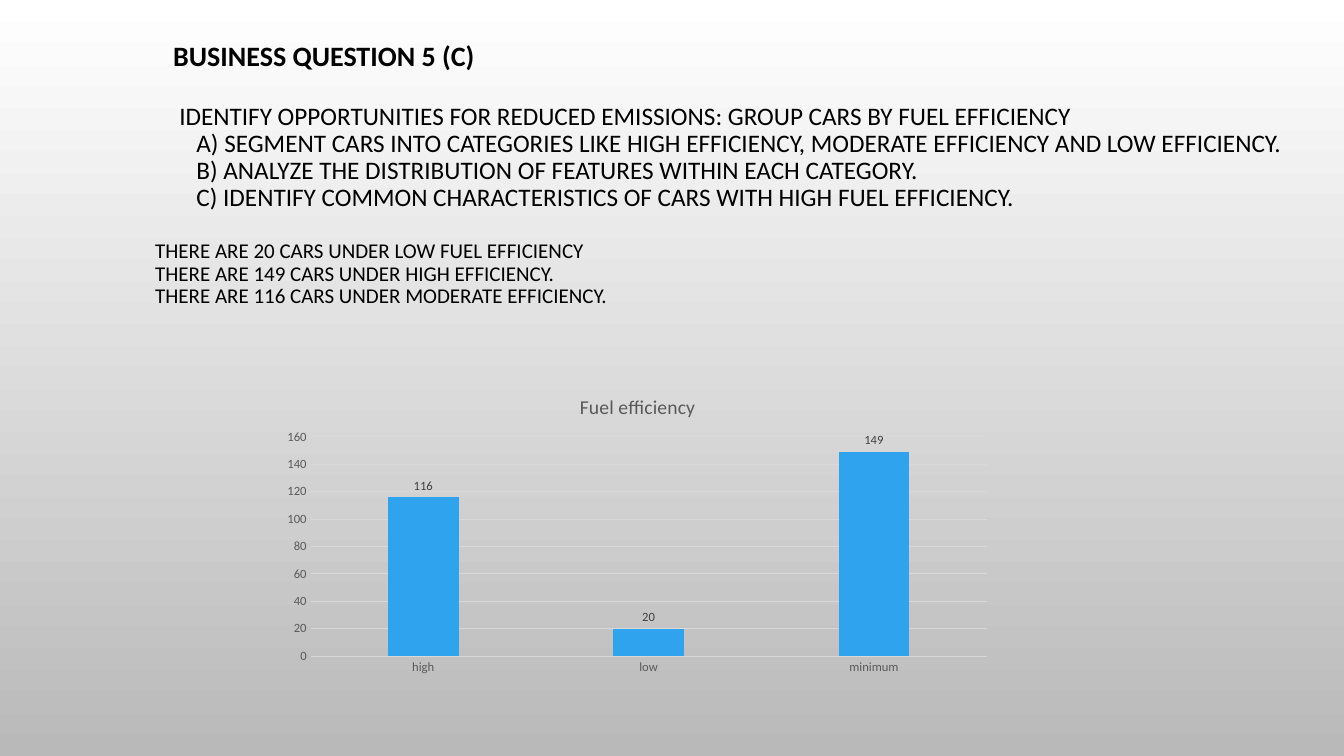
import pptx
import pptx.chart.data
import pptx.dml.color
import pptx.enum.chart
import pptx.enum.text
import pptx.oxml
import pptx.oxml.ns
import pptx.util

Inches, Pt = pptx.util.Inches, pptx.util.Pt
FONT = "Calibri"
COLORS = {"top": "FFFFFF", "bottom": "B9B9B9", "text": "000000", "bar": "2FA3EE",
          "grid": "D9D9D9", "axis": "595959", "label": "404040"}

# Groups of lines: size, bold, space above, then (left indent in inches, wording)
TEXT = [
    (20, True, 0, [(0.5, "BUSINESS QUESTION 5 (C)")]),
    (18, False, 22, [
        (0.56, "IDENTIFY OPPORTUNITIES FOR REDUCED EMISSIONS: GROUP CARS BY FUEL EFFICIENCY"),
        (0.73, "A) SEGMENT CARS INTO CATEGORIES LIKE HIGH EFFICIENCY, MODERATE EFFICIENCY AND LOW EFFICIENCY."),
        (0.73, "B) ANALYZE THE DISTRIBUTION OF FEATURES WITHIN EACH CATEGORY."),
        (0.73, "C) IDENTIFY COMMON CHARACTERISTICS OF CARS WITH HIGH FUEL EFFICIENCY."),
    ]),
    (15, False, 20, [
        (0.32, "THERE ARE 20 CARS UNDER LOW FUEL EFFICIENCY"),
        (0.32, "THERE ARE 149 CARS UNDER HIGH EFFICIENCY."),
        (0.32, "THERE ARE 116 CARS UNDER MODERATE EFFICIENCY."),
    ]),
]
CHART_TITLE = "Fuel efficiency"
CARS = {"high": 116, "low": 20, "minimum": 149}
PLOT = {"x": 0.05, "y": 0.195, "w": 0.93, "h": 0.725}  # shares of the chart


def rgb(name):
    return pptx.dml.color.RGBColor.from_string(COLORS[name])


def style(font, size, color, bold=False):
    font.name, font.size, font.bold = FONT, Pt(size), bold
    font.color.rgb = rgb(color)


def add_background(s):
    fill = s.background.fill
    fill.gradient()
    fill.gradient_angle = 270
    for stop, name, position in zip(fill.gradient_stops, ("top", "bottom"), (0, 1)):
        stop.color.rgb, stop.position = rgb(name), position


def add_text(s):
    tf = s.shapes.add_textbox(Inches(1.12), Inches(0.21), Inches(12.2), Inches(3.06)).text_frame
    tf.word_wrap = True
    tf.vertical_anchor = pptx.enum.text.MSO_ANCHOR.MIDDLE
    p = tf.paragraphs[0]
    for size, bold, gap, lines in TEXT:
        for i, (indent, words) in enumerate(lines):
            if p.text:
                p = tf.add_paragraph()
            p.text = words
            p.line_spacing = 0.9
            p.space_before = Pt(0 if i else gap)
            style(p.font, size, "text", bold)
            p._p.get_or_add_pPr().set("marL", str(Inches(indent)))


def place_plot(chart):
    """Fix the inner plot area at the shares in PLOT."""
    sizes = "".join(f'<c:{key} val="{share}"/>' for key, share in PLOT.items())
    layout = pptx.oxml.parse_xml(
        f'<c:layout {pptx.oxml.ns.nsdecls("c")}><c:manualLayout><c:layoutTarget val="inner"/>'
        f'<c:xMode val="edge"/><c:yMode val="edge"/>{sizes}</c:manualLayout></c:layout>')
    area = chart._chartSpace.chart.plotArea
    for old in area.findall(pptx.oxml.ns.qn("c:layout")):
        area.remove(old)
    area.insert(0, layout)


def add_efficiency_chart(s):
    data = pptx.chart.data.CategoryChartData()
    data.categories = list(CARS)
    data.add_series("Series 1", list(CARS.values()))
    kinds = pptx.enum.chart
    chart = s.shapes.add_chart(kinds.XL_CHART_TYPE.COLUMN_CLUSTERED, Inches(2.72), Inches(3.75),
                               Inches(7.21), Inches(3), data).chart
    style(chart.font, 10, "text")
    chart.has_legend = False
    chart.has_title = True
    p = chart.chart_title.text_frame.paragraphs[0]
    p.text = CHART_TITLE
    style(p.font, 14, "axis")
    chart.chart_title.include_in_layout = False

    category, value = chart.category_axis, chart.value_axis
    for axis in (category, value):
        axis.major_tick_mark = axis.minor_tick_mark = kinds.XL_TICK_MARK.NONE
        style(axis.tick_labels.font, 9, "axis")
    for line in (category.format.line, value.major_gridlines.format.line):
        line.color.rgb, line.width = rgb("grid"), Pt(0.75)
    value.format.line.fill.background()
    value.minimum_scale, value.maximum_scale, value.major_unit = 0, 160, 20

    plot = chart.plots[0]
    plot.gap_width, plot.overlap, plot.vary_by_categories = 219, -27, False
    series = plot.series[0]
    series.format.fill.solid()
    series.format.fill.fore_color.rgb = rgb("bar")
    labels = series.data_labels
    labels.show_value = True
    labels.position = kinds.XL_LABEL_POSITION.OUTSIDE_END
    style(labels.font, 9, "label")
    place_plot(chart)


def main():
    prs = pptx.Presentation()
    prs.slide_width, prs.slide_height = Inches(13.33), Inches(7.5)
    s = prs.slides.add_slide(prs.slide_layouts[6])
    add_background(s)
    add_text(s)
    add_efficiency_chart(s)
    prs.save("out.pptx")


if __name__ == "__main__":
    main()
